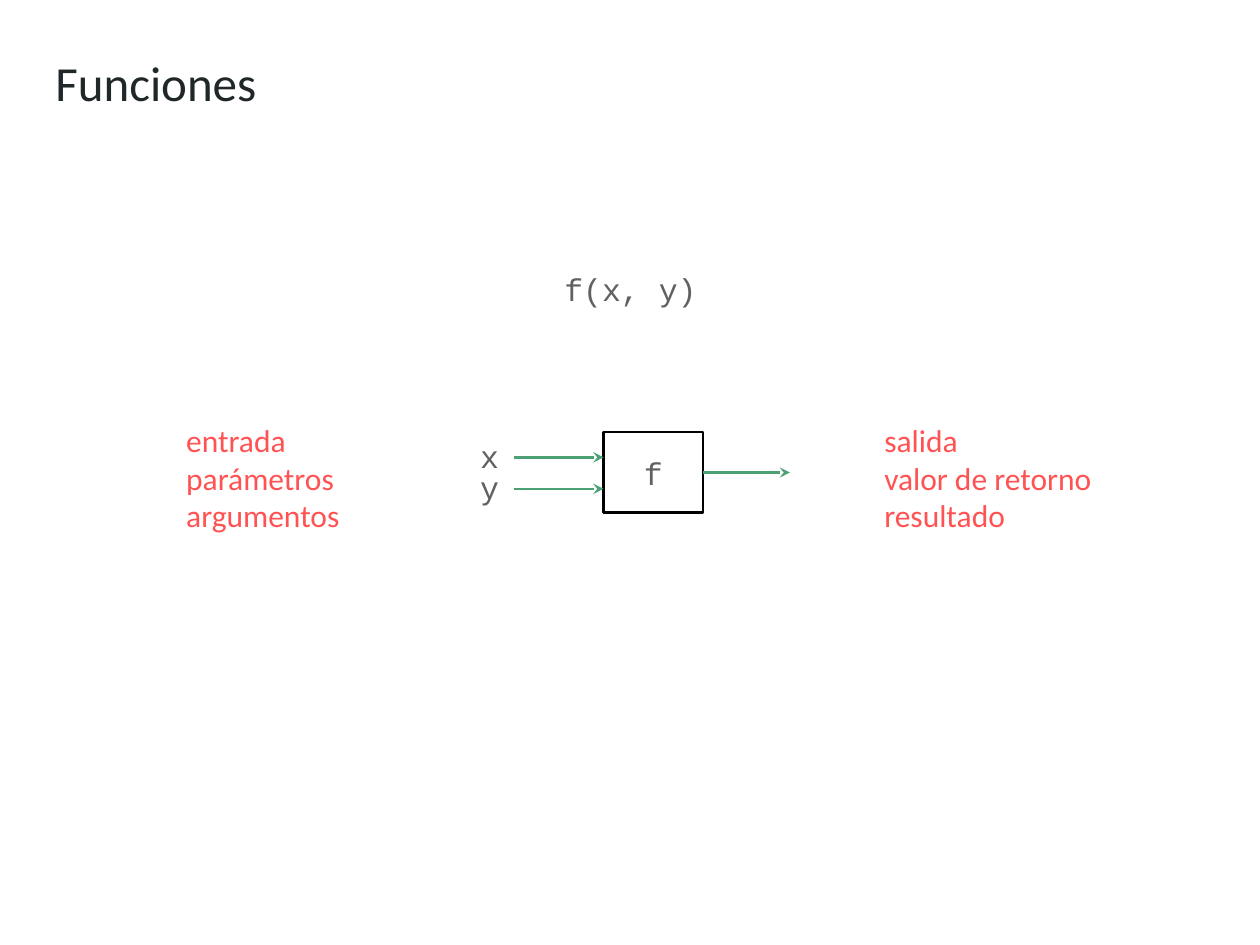
import dataclasses

import pptx
import pptx.dml.color
import pptx.enum.shapes
import pptx.enum.text
import pptx.oxml.ns
import pptx.util
from lxml import etree

Inches = pptx.util.Inches
Align = pptx.enum.text.PP_ALIGN
Anchor = pptx.enum.text.MSO_ANCHOR


@dataclasses.dataclass(frozen=True)
class Theme:
    """Colours, fonts and sizes of the slide."""
    title: str = "202729"
    code: str = "616161"
    note: str = "FF5252"
    arrow: str = "4BA173"
    outline: str = "000000"
    sans: str = "Calibri"
    mono: str = "Courier New"
    title_size: int = 28
    body_size: int = 18
    line_width: float = 1.5
    inset: float = 0.1


THEME = Theme()


def rgb(value):
    """Return the colour for a hex value."""
    return pptx.dml.color.RGBColor.from_string(value)


def write(shape, text, font, colour, size=THEME.body_size, align=Align.LEFT,
          anchor=Anchor.TOP, wrap=True):
    """Fill a shape with formatted text."""
    frame = shape.text_frame
    frame.text = text
    frame.word_wrap = wrap
    frame.auto_size = pptx.enum.text.MSO_AUTO_SIZE.NONE
    frame.vertical_anchor = anchor
    frame.margin_left = frame.margin_right = Inches(THEME.inset)
    frame.margin_top = frame.margin_bottom = Inches(THEME.inset)
    for paragraph in frame.paragraphs:
        paragraph.alignment = align
        for run in paragraph.runs:
            run.font.name = font
            run.font.size = pptx.util.Pt(size)
            run.font.color.rgb = rgb(colour)


def add_title(slide, box, text):
    """Place and format the title placeholder."""
    title = slide.shapes.title
    title.left, title.top, title.width, title.height = map(Inches, box)
    write(title, text, THEME.sans, THEME.title, THEME.title_size)


def add_text(slide, box, text, font, colour, **options):
    """Add a text box."""
    write(slide.shapes.add_textbox(*map(Inches, box)), text, font, colour, **options)


def add_arrow(slide, start, end, y):
    """Add a horizontal arrow with a stealth tip at its end."""
    arrow = slide.shapes.add_connector(
        pptx.enum.shapes.MSO_CONNECTOR.STRAIGHT,
        Inches(start), Inches(y), Inches(end), Inches(y))
    arrow.line.color.rgb = rgb(THEME.arrow)
    arrow.line.width = pptx.util.Pt(THEME.line_width)
    qn = pptx.oxml.ns.qn
    etree.SubElement(arrow.line._get_or_add_ln(), qn("a:tailEnd"), type="stealth")
    etree.SubElement(arrow._element.spPr, qn("a:effectLst"))


def add_function(slide, box, name, parameters):
    """Draw a function box with its input and output arrows."""
    left, top, width, height = box
    function = slide.shapes.add_shape(
        pptx.enum.shapes.MSO_SHAPE.RECTANGLE, *map(Inches, box))
    function.shadow.inherit = False
    function.fill.background()
    function.line.color.rgb = rgb(THEME.outline)
    function.line.width = pptx.util.Pt(THEME.line_width)
    centred = {"align": Align.CENTER, "anchor": Anchor.MIDDLE, "wrap": False}
    write(function, name, THEME.mono, THEME.code, **centred)

    step = 0.25
    for index, parameter in enumerate(parameters):
        label_top = top + index * step
        add_arrow(slide, left - 0.71, left, label_top + 0.2)
        add_text(slide, (left - 1.06, label_top, 0.31, 0.37), parameter,
                 THEME.mono, THEME.code, **centred)
    right = left + width
    add_arrow(slide, right, right + 0.69, top + height / 2)


def main():
    """Build and save the slide."""
    deck = pptx.Presentation()
    deck.slide_width, deck.slide_height = Inches(10), Inches(7.5)
    slide = deck.slides.add_slide(deck.slide_layouts.get_by_name("Title Only"))
    add_title(slide, (0.34, 0.32, 9.32, 0.83), "Funciones")
    add_text(slide, (4.38, 2.04, 1.25, 0.54), "f(x, y)", THEME.mono, THEME.code,
             wrap=False)
    add_function(slide, (4.79, 3.43, 0.79, 0.64), "f", ("x", "y"))
    notes = {1.38: ("entrada", "parámetros", "argumentos"),
             6.92: ("salida", "valor de retorno", "resultado")}
    for left, terms in notes.items():
        add_text(slide, (left, 3.24, 2.07, 1.11), "\n".join(terms),
                 THEME.sans, THEME.note)
    deck.save("out.pptx")


if __name__ == "__main__":
    main()
